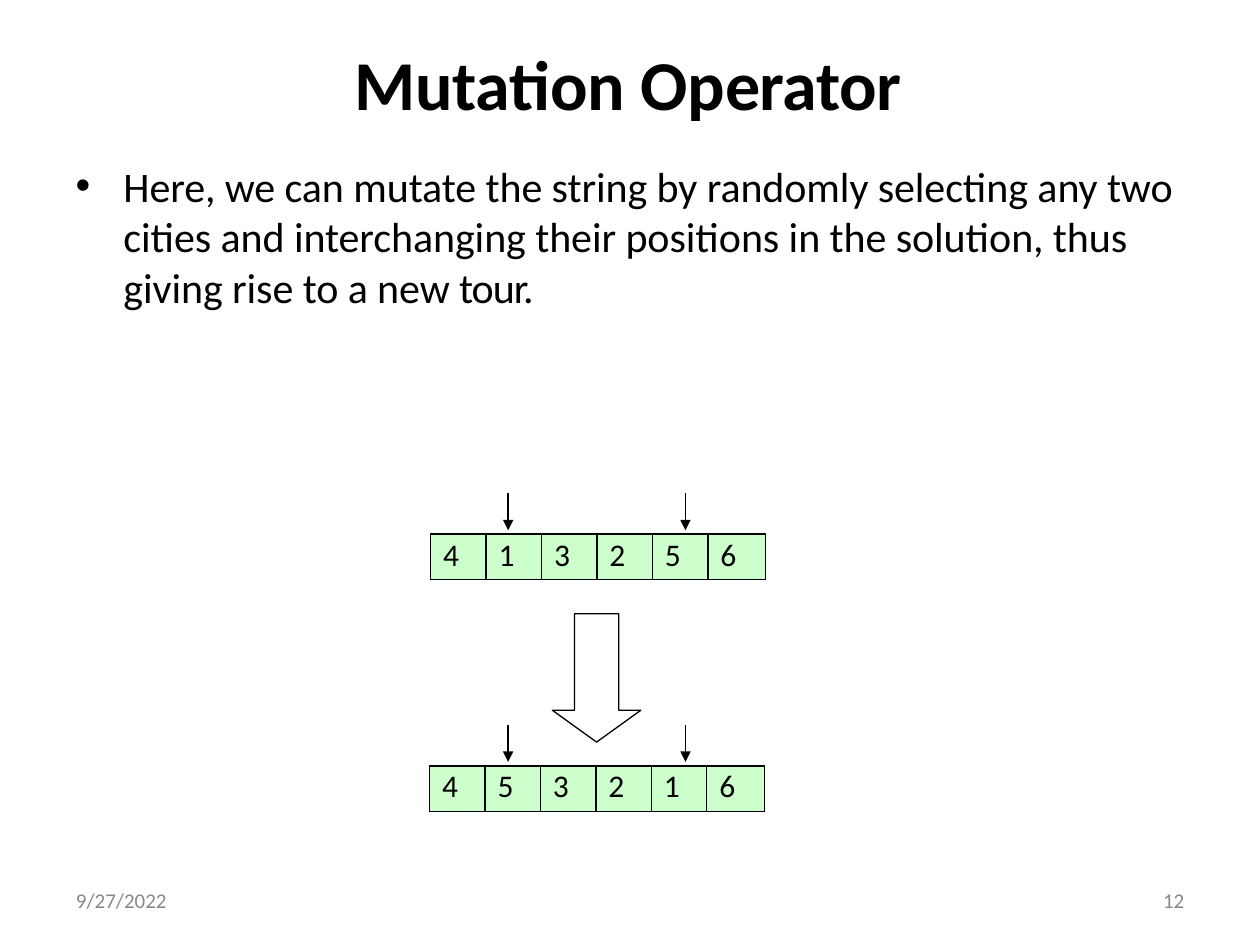
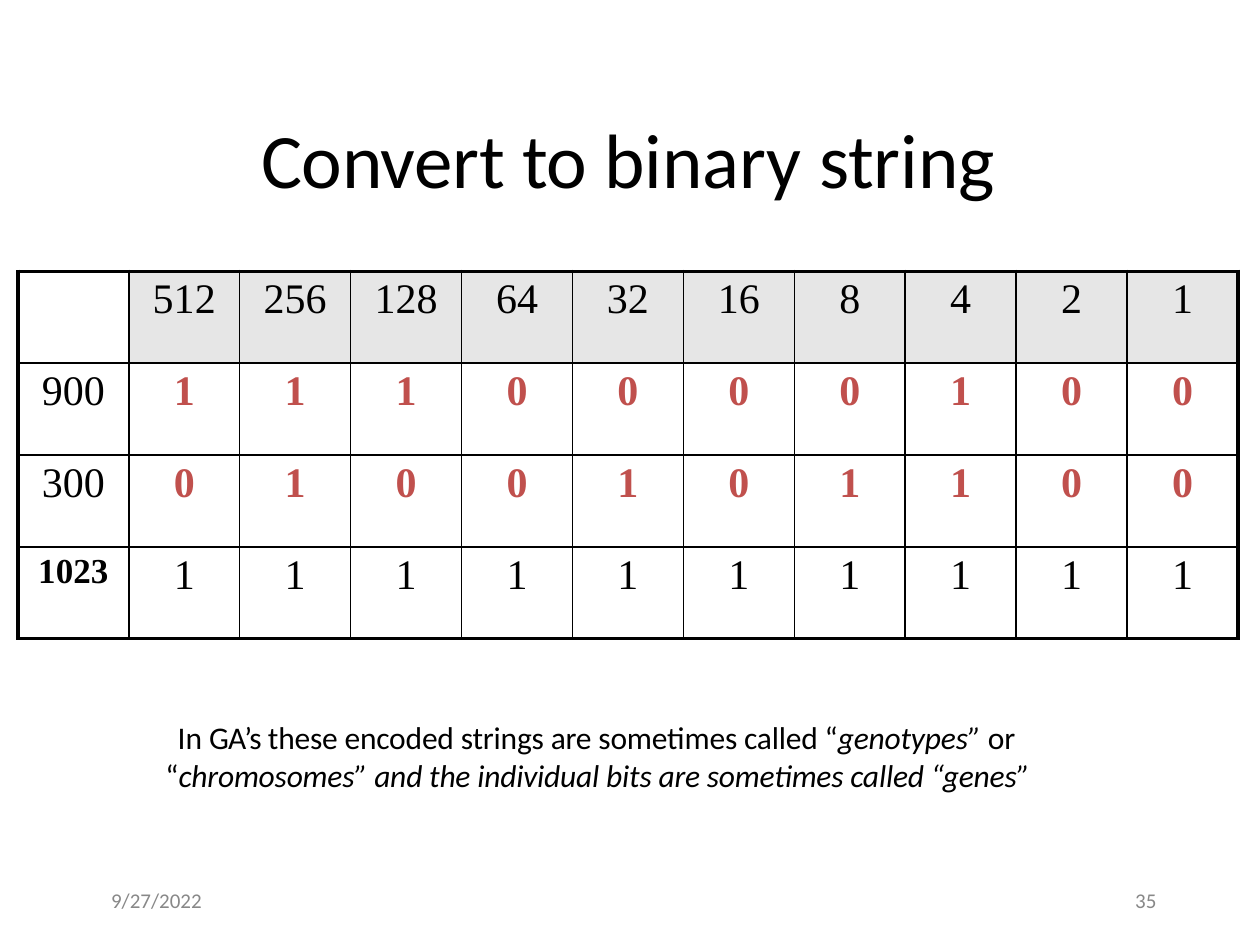
from dataclasses import dataclass

from lxml import etree
from pptx import Presentation
from pptx import util as u
from pptx.dml.color import RGBColor
from pptx.enum import shapes, text
from pptx.oxml import ns

Pt = u.Pt
BLACK, GREY, RED = "000000", "888888", "C0504D"
GREEN, HEADER = "CCFFCC", "E6E6E6"
BODY_FONT, TABLE_FONT = "Calibri", "Times New Roman"
THIN, THICK = 1, 2.25
DATE = "9/27/2022"


@dataclass(frozen=True)
class Span:
    words: str
    size: float = 18
    color: str = BLACK
    bold: bool = False
    italic: bool = False
    tracking: float = 0
    font: str = BODY_FONT


@dataclass(frozen=True)
class Para:
    spans: tuple[Span, ...]
    before: float = 0
    left: float = 0.9
    hang: float = 0
    bullet: str = ""
    line: float | None = None
    align: text.PP_ALIGN | None = None


@dataclass(frozen=True)
class Cell:
    para: Para | None
    fill: str | None = None


@dataclass(frozen=True)
class Grid:
    left: float
    top: float
    widths: list[float]
    row_height: float
    inset: float
    edge: float


def rgb(value: str) -> RGBColor:
    return RGBColor.from_string(value)


def child(parent, tag: str, **attributes: str):
    return etree.SubElement(parent, ns.qn(tag), attributes)


def write_para(para, content: Para) -> None:
    para.space_before = Pt(content.before)
    if content.line:
        para.line_spacing = Pt(content.line)
    if content.align:
        para.alignment = content.align
    props = para._p.get_or_add_pPr()
    props.set("marL", str(Pt(content.left)))
    props.set("indent", str(Pt(-content.hang)))
    if content.bullet:
        child(props, "a:buFont", typeface="Arial")
        child(props, "a:buChar", char=content.bullet)
    for span in content.spans:
        run = para.add_run()
        run.text = span.words
        run.font.name = span.font
        run.font.size = Pt(span.size)
        run.font.bold = span.bold
        run.font.italic = span.italic
        run.font.color.rgb = rgb(span.color)
        if span.tracking:
            run._r.get_or_add_rPr().set("spc", str(round(span.tracking * 100)))


def add_text(page, left: float, top: float, width: float, height: float,
             *paras: Para, inset: float = 0) -> None:
    box = page.shapes.add_textbox(Pt(left), Pt(top), Pt(width), Pt(height))
    frame = box.text_frame
    frame.word_wrap = True
    frame.margin_left = frame.margin_right = frame.margin_bottom = 0
    frame.margin_top = Pt(inset)
    for index, content in enumerate(paras):
        para = frame.add_paragraph() if index else frame.paragraphs[0]
        write_para(para, content)


def add_title(page, left: float, top: float, width: float, height: float,
              *spans: Span) -> None:
    add_text(page, left, top, width, height, Para(spans, before=1), inset=0.9)


def add_footer(page, date_left: float, number_left: float, number: int) -> None:
    for left, width, indent, words in ((date_left, 54, 0.9, DATE),
                                       (number_left, 18, 2.9, str(number))):
        span = Span(words, size=12, color=GREY)
        add_text(page, left, 509, width, 14,
                 Para((span,), left=indent, line=12.4))


def set_borders(cell, widths: dict[str, float]) -> None:
    """Draw solid black borders; the keys are L, R, T and B, in that order."""
    props = cell._tc.get_or_add_tcPr()
    for side, width in widths.items():
        line = child(props, f"a:ln{side}", w=str(Pt(width)))
        child(child(line, "a:solidFill"), "a:srgbClr", val=BLACK)


def add_grid(page, grid: Grid, rows: list[list[Cell]]) -> None:
    frame = page.shapes.add_table(
        len(rows), len(grid.widths), Pt(grid.left), Pt(grid.top),
        Pt(sum(grid.widths)), Pt(grid.row_height * len(rows)))
    table = frame.table
    table.first_row = table.horz_banding = False
    for column, width in zip(table.columns, grid.widths):
        column.width = Pt(width)
    last_row, last_column = len(rows) - 1, len(grid.widths) - 1
    for r, row in enumerate(rows):
        table.rows[r].height = Pt(grid.row_height)
        for c, content in enumerate(row):
            cell = table.cell(r, c)
            on_edge = {"L": c == 0, "R": c == last_column,
                       "T": r == 0, "B": r == last_row}
            set_borders(cell, {side: grid.edge if outer else THIN
                               for side, outer in on_edge.items()})
            cell.margin_left = cell.margin_right = cell.margin_bottom = 0
            cell.margin_top = Pt(grid.inset)
            if content.fill:
                cell.fill.solid()
                cell.fill.fore_color.rgb = rgb(content.fill)
            else:
                cell.fill.background()
            if content.para:
                write_para(cell.text_frame.paragraphs[0], content.para)


def add_pointer(page, x: float, top: float, bottom: float) -> None:
    pointer = page.shapes.add_connector(
        shapes.MSO_CONNECTOR.STRAIGHT, Pt(x), Pt(top), Pt(x), Pt(bottom))
    pointer.line.color.rgb = rgb(BLACK)
    pointer.line.width = Pt(1)
    child(pointer.line._get_or_add_ln(), "a:tailEnd", type="triangle")
    child(pointer._element.spPr, "a:effectLst")


def add_tour(page, left: float, top: float, cities: str) -> None:
    """Draw a tour as a row of cities, with pointers above the swapped two."""
    row = [Cell(Para((Span(city),), before=1.2, left=7.2), GREEN)
           for city in cities]
    widths = [31.7] * (len(cities) - 1) + [32.9]
    add_grid(page, Grid(left, top, widths, 26, 1.2, THIN), [row])
    for x in (290.4, 391.7):
        add_pointer(page, x, top - 23.2, top - 2.2)


def add_mutation_arrow(page) -> None:
    arrow = page.shapes.add_shape(shapes.MSO_SHAPE.DOWN_ARROW,
                                  Pt(315.6), Pt(350.8), Pt(50.6), Pt(73.3))
    arrow.adjustments[0] = 0.5
    arrow.adjustments[1] = 0.36
    arrow.shadow.inherit = False
    arrow.fill.background()
    arrow.line.color.rgb = rgb(BLACK)
    arrow.line.width = Pt(0.75)


def build_mutation(page) -> None:
    add_title(page, 201.6, 22.3, 318, 50,
              Span("Mutation", size=40, bold=True, tracking=-0.1),
              Span(" Operator", size=40, bold=True, tracking=-0.2))
    spans = (
        Span("Here, we can mutate the string by randomly selecting any two ",
             size=24, tracking=-0.05),
        Span(" cities and interchanging their positions in the solution, thus ",
             size=24, tracking=-0.05),
        Span(" giving rise to a new ", size=24, tracking=-0.05),
        Span("tour.", size=24, tracking=-0.6),
    )
    add_text(page, 42.5, 90.7, 633.6, 88.6,
             Para(spans, before=5.8, left=28.1, hang=27.4, bullet="•"),
             inset=0.9)
    add_tour(page, 246, 305.2, "413256")
    add_tour(page, 245.4, 437.6, "453216")
    add_mutation_arrow(page)
    add_footer(page, 42.5, 661.7, 12)


def table_cell(words: str, fill: str | None = None, color: str = BLACK,
               bold: bool = False, size: float = 24) -> Cell:
    span = Span(words, size, color, bold, font=TABLE_FONT)
    return Cell(Para((span,), before=2.8, left=0, align=text.PP_ALIGN.CENTER),
                fill)


def build_binary(page) -> None:
    add_footer(page, 62.6, 645.8, 35)
    add_title(page, 148.3, 62.6, 424, 55,
              Span("Convert ", size=44, tracking=-0.2),
              Span("to ", size=44, tracking=-0.3),
              Span("binary ", size=44),
              Span("string", size=44, tracking=-0.1))

    bits = 10
    rows = [[Cell(None)] + [table_cell(str(2 ** power), HEADER)
                            for power in reversed(range(bits))]]
    for number in (900, 300):
        rows.append([table_cell(str(number))]
                    + [table_cell(bit, color=RED, bold=True)
                       for bit in f"{number:0{bits}b}"])
    largest = 2 ** bits - 1
    rows.append([table_cell(str(largest), bold=True, size=20)]
                + [table_cell(bit) for bit in f"{largest:b}"])
    add_grid(page, Grid(10.2, 155, [63.4] * (bits + 1), 52.5, 2.9, THICK), rows)

    add_text(
        page, 93.6, 409.7, 503.3, 45.4,
        Para((Span("In "),
              Span("GA’s ", tracking=-0.5),
              Span("these encoded strings are sometimes called “",
                   tracking=-0.1),
              Span("genotypes” ", italic=True, tracking=-0.1),
              Span("or", tracking=-0.1)), before=1, left=7.9),
        Para((Span("“", tracking=-0.1),
              Span("chromosomes” and the individual bits are sometimes "
                   "called “genes”", italic=True, tracking=-0.1))),
        inset=0.9)


def main() -> None:
    deck = Presentation()
    deck.slide_width, deck.slide_height = Pt(720), Pt(540)
    blank = deck.slide_layouts[6]
    for build in (build_mutation, build_binary):
        build(deck.slides.add_slide(blank))
    deck.save("out.pptx")


if __name__ == "__main__":
    main()
